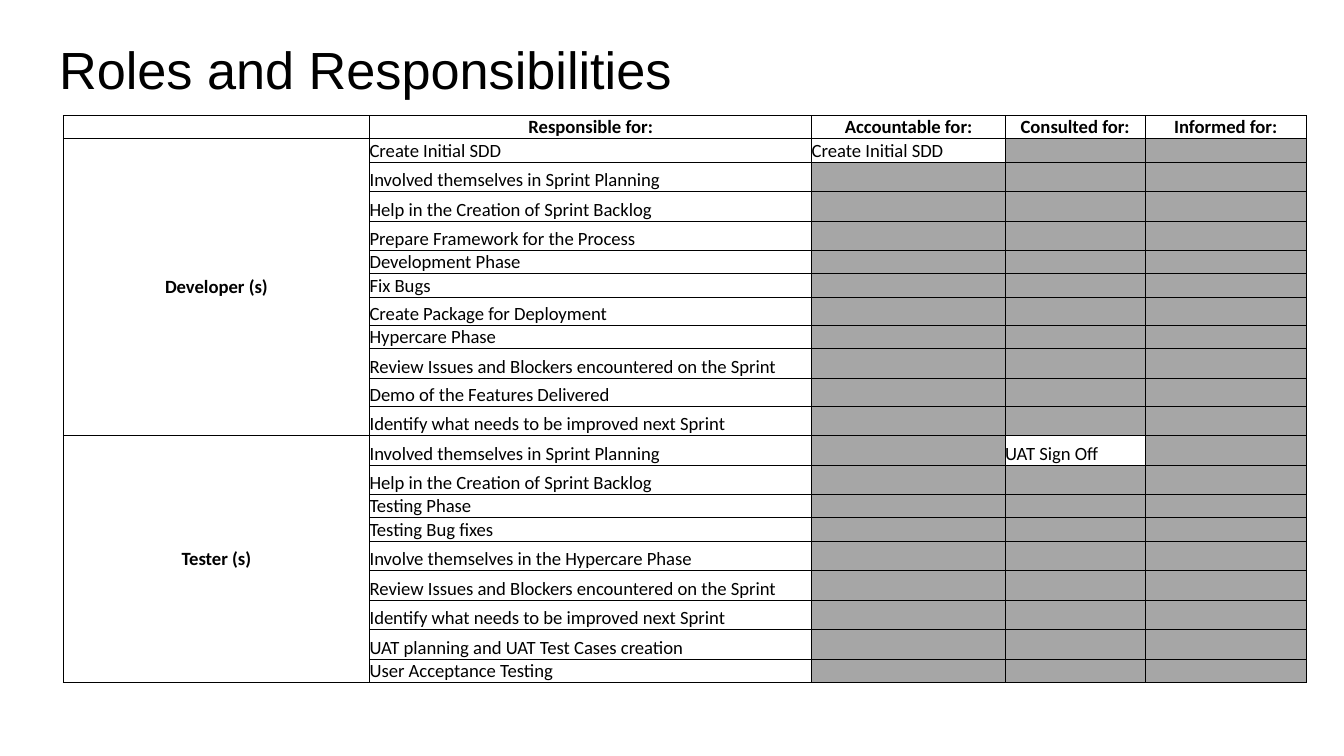
import pptx
import pptx.dml.color
import pptx.enum.text
import pptx.oxml
import pptx.oxml.ns
import pptx.util
from pptx.util import Inches

COLORS = {"text": "000000", "border": "000000", "blocked": "A6A6A6"}
ALIGN = pptx.enum.text.PP_ALIGN
ANCHOR = pptx.enum.text.MSO_ANCHOR

HEADERS = ["", "Responsible for:", "Accountable for:", "Consulted for:", "Informed for:"]
COLUMN_WIDTHS = [2.28, 3.29, 1.44, 1.04, 1.2]
LOW, MEDIUM, HIGH = 12.5 / 72, 15.1 / 72, 15.8 / 72
ROLES = {
    "Developer (s)": [
        ("Create Initial SDD", LOW),
        ("Involved themselves in Sprint Planning", HIGH),
        ("Help in the Creation of Sprint Backlog", HIGH),
        ("Prepare Framework for the Process", HIGH),
        ("Development Phase", LOW),
        ("Fix Bugs", LOW),
        ("Create Package for Deployment", MEDIUM),
        ("Hypercare Phase", LOW),
        ("Review Issues and Blockers encountered on the Sprint", HIGH),
        ("Demo of the Features Delivered", MEDIUM),
        ("Identify what needs to be improved next Sprint", HIGH),
    ],
    "Tester (s)": [
        ("Involved themselves in Sprint Planning", HIGH),
        ("Help in the Creation of Sprint Backlog", HIGH),
        ("Testing Phase", LOW),
        ("Testing Bug fixes", LOW),
        ("Involve themselves in the Hypercare Phase", HIGH),
        ("Review Issues and Blockers encountered on the Sprint", HIGH),
        ("Identify what needs to be improved next Sprint", HIGH),
        ("UAT planning and UAT Test Cases creation", HIGH),
        ("User Acceptance Testing", LOW),
    ],
}
OTHER_DUTIES = {(1, 2): "Create Initial SDD", (12, 3): "UAT Sign Off"}


def write(frame, text, font="Calibri", size=10, bold=False, align=ALIGN.LEFT, color="text"):
    paragraph = frame.paragraphs[0]
    paragraph.alignment = align
    if not text:
        end = pptx.oxml.parse_xml(
            f'<a:endParaRPr {pptx.oxml.ns.nsdecls("a")} sz="{size * 100}">'
            f'<a:latin typeface="{font}"/></a:endParaRPr>')
        paragraph._p.append(end)
        return
    run = paragraph.add_run()
    run.text = text
    run.font.name = font
    run.font.size = pptx.util.Pt(size)
    run.font.bold = bold
    run.font.color.rgb = pptx.dml.color.RGBColor.from_string(COLORS[color])


class RoleSlide:
    def __init__(self, deck):
        self.slide = deck.slides.add_slide(deck.slide_layouts[5])

    def title(self, text, left, top, width, height):
        heading = self.slide.shapes.title
        heading.left, heading.top = Inches(left), Inches(top)
        heading.width, heading.height = Inches(width), Inches(height)
        frame = heading.text_frame
        frame.word_wrap = True
        frame.auto_size = pptx.enum.text.MSO_AUTO_SIZE.NONE
        frame.vertical_anchor = ANCHOR.TOP
        frame.margin_left = frame.margin_right = Inches(0.1)
        frame.margin_top = frame.margin_bottom = Inches(0.1)
        write(frame, text, font="Arial", size=28)

    def table(self, left, top, widths, heights):
        matrix = self.slide.shapes.add_table(
            len(heights), len(widths), Inches(left), Inches(top),
            Inches(sum(widths)), Inches(sum(heights))).table
        matrix.first_row = matrix.horz_banding = False
        for column, width in zip(matrix.columns, widths):
            column.width = Inches(width)
        for row, height in zip(matrix.rows, heights):
            row.height = Inches(height)
        return matrix

    def cell(self, cell, text="", bold=False, align=ALIGN.LEFT, anchor=ANCHOR.BOTTOM, fill=None):
        cell.margin_left = cell.margin_right = 0
        cell.margin_top = cell.margin_bottom = 0
        cell.vertical_anchor = anchor
        write(cell.text_frame, text, bold=bold, align=align)
        self.borders(cell)
        if fill:
            cell.fill.solid()
            cell.fill.fore_color.rgb = pptx.dml.color.RGBColor.from_string(COLORS[fill])
        else:
            cell.fill.background()

    def borders(self, cell):
        properties = cell._tc.get_or_add_tcPr()
        for side in ("lnL", "lnR", "lnT", "lnB"):
            properties.append(pptx.oxml.parse_xml(
                f'<a:{side} {pptx.oxml.ns.nsdecls("a")} w="{pptx.util.Pt(0.5)}">'
                f'<a:solidFill><a:srgbClr val="{COLORS["border"]}"/></a:solidFill></a:{side}>'))


def main():
    deck = pptx.Presentation()
    deck.slide_width = Inches(10)
    deck.slide_height = deck.slide_width * 9 // 16
    page = RoleSlide(deck)
    page.title("Roles and Responsibilities", 0.34, 0.18, 9.32, 0.63)

    heights = [LOW] + [height for duties in ROLES.values() for _, height in duties]
    matrix = page.table(0.47, 0.86, COLUMN_WIDTHS, heights)
    for column, header in enumerate(HEADERS):
        page.cell(matrix.cell(0, column), header, bold=True, align=ALIGN.CENTER)

    row = 1
    for role, duties in ROLES.items():
        last = row + len(duties) - 1
        matrix.cell(row, 0).merge(matrix.cell(last, 0))
        for offset, (duty, _) in enumerate(duties):
            page.cell(matrix.cell(row + offset, 0), "" if offset else role, bold=True,
                      align=ALIGN.CENTER, anchor=ANCHOR.MIDDLE)
            page.cell(matrix.cell(row + offset, 1), duty)
            for column in range(2, len(HEADERS)):
                other = OTHER_DUTIES.get((row + offset, column), "")
                page.cell(matrix.cell(row + offset, column), other,
                          fill=None if other else "blocked")
        row = last + 1

    deck.save("out.pptx")


if __name__ == "__main__":
    main()
